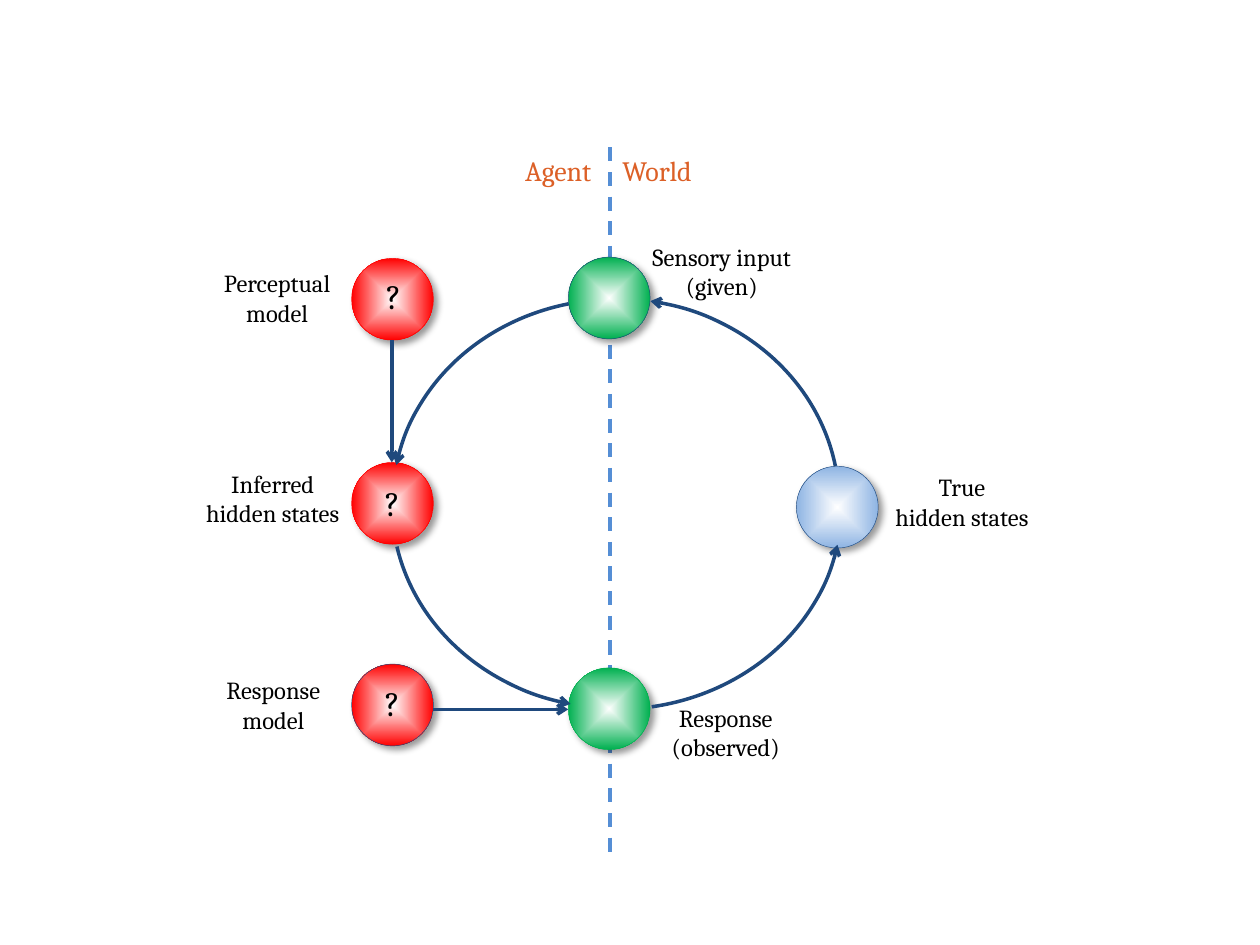
"""Draw the perception and response loop between an agent and its world."""
from typing import NamedTuple

from lxml import etree
from pptx import Presentation
from pptx import util as u
from pptx.dml.color import RGBColor
from pptx.enum import dml, shapes, text
from pptx.oxml import parse_xml
from pptx.oxml.ns import nsdecls, qn

COLOURS = {
    "white": "FFFFFF", "black": "000000", "red": "FF0000", "green": "00B050",
    "sky": "8EB4E3", "navy": "1F497D", "divider": "558ED5", "orange": "DC6027",
}
FONT = "Cambria"
DIAMETER = 0.65
LEFT, CENTER = text.PP_ALIGN.LEFT, text.PP_ALIGN.CENTER


class Node(NamedTuple):
    left: float
    top: float
    fill: str
    outline: str


class Label(NamedTuple):
    left: float
    top: float
    width: float
    height: float
    lines: tuple[str, ...]
    size: int = 14
    colour: str = "black"
    first_align: text.PP_ALIGN = CENTER
    wrap: bool = False


class Arc(NamedTuple):
    left: float
    top: float
    width: float
    height: float
    rotation: int
    start: float
    end: float


class Link(NamedTuple):
    x1: float
    y1: float
    x2: float
    y2: float


DIVIDER = Link(4.84, 1.17, 4.84, 6.83)
NODES = (
    Node(2.79, 3.67, "red", "red"),
    Node(6.32, 3.7, "sky", "navy"),
    Node(4.51, 2.04, "green", "navy"),
    Node(4.51, 5.3, "green", "green"),
    Node(2.79, 2.05, "red", "red"),
    Node(2.79, 5.27, "red", "navy"),
)
ARCS = (
    Arc(3.11, 2.37, 3.55, 3.25, 0, 167.88, 210.22),
    Arc(3.27, 2.22, 3.23, 3.54, 270, 167.88, 208.07),
    Arc(3.11, 2.37, 3.55, 3.25, 180, 169.59, 209.3),
    Arc(3.28, 2.23, 3.23, 3.57, 90, 168.01, 210.08),
)
LINKS = (Link(3.44, 5.63, 4.51, 5.63), Link(3.11, 2.7, 3.11, 3.67))
LABELS = (
    Label(4.07, 1.17, 0.76, 0.37, ("Agent",), 16, "orange", LEFT),
    Label(4.84, 1.17, 0.79, 0.37, ("World",), 16, "orange", LEFT),
    Label(5.08, 1.87, 1.37, 0.57, ("Sensory input", "(given)"), first_align=LEFT),
    Label(6.97, 3.7, 1.33, 0.57, ("True", "hidden states")),
    Label(5.2, 5.53, 1.12, 0.57, ("Response", "(observed)")),
    Label(1.65, 2.08, 1.1, 0.57, ("Perceptual", "model")),
    Label(1.5, 3.67, 1.33, 0.57, ("Inferred", "hidden states")),
    Label(1.67, 5.31, 1, 0.57, ("Response", "model")),
    Label(2.66, 2.13, 0.93, 0.44, ("?",), 20, wrap=True),
    Label(2.65, 3.77, 0.93, 0.44, ("?",), 20, wrap=True),
    Label(2.65, 5.36, 0.93, 0.44, ("?",), 20, wrap=True),
)


def rgb(name: str) -> RGBColor:
    """Look up a named colour."""
    return RGBColor.from_string(COLOURS[name])


def set_line(line, colour: str, width: float) -> None:
    """Give a line its colour and width in points."""
    line.color.rgb = rgb(colour)
    line.width = u.Pt(width)


def add_arrowhead(line, end: str) -> None:
    """Put an open arrowhead on the headEnd or tailEnd of a line."""
    etree.SubElement(line._get_or_add_ln(), qn(f"a:{end}")).set("type", "arrow")


def add_node(slide, node: Node) -> None:
    """Draw a shaded ball with a soft shadow."""
    ball = slide.shapes.add_shape(
        shapes.MSO_SHAPE.OVAL, u.Inches(node.left), u.Inches(node.top),
        u.Inches(DIAMETER), u.Inches(DIAMETER))
    ball.fill.gradient()
    for stop, colour, position in zip(ball.fill.gradient_stops, ("white", node.fill), (0, 1)):
        stop.color.rgb = rgb(colour)
        stop.position = position
    properties = ball._element.spPr
    direction = properties.find(".//" + qn("a:lin"))
    direction.getparent().replace(direction, parse_xml(
        f'<a:path {nsdecls("a")} path="shape">'
        '<a:fillToRect l="50000" t="50000" r="50000" b="50000"/></a:path>'))
    set_line(ball.line, node.outline, 0.25)
    ball.shadow.inherit = False
    properties.find(qn("a:effectLst")).append(parse_xml(
        f'<a:outerShdw {nsdecls("a")} blurRad="{u.Pt(4)}" dist="{u.Pt(3)}" '
        'dir="2700000" algn="tl" rotWithShape="0">'
        f'<a:srgbClr val="{COLOURS["black"]}"><a:alpha val="40000"/></a:srgbClr>'
        '</a:outerShdw>'))


def add_arc(slide, arc: Arc) -> None:
    """Draw a quarter of the loop with an arrowhead at its start."""
    curve = slide.shapes.add_shape(
        shapes.MSO_SHAPE.ARC, u.Inches(arc.left), u.Inches(arc.top),
        u.Inches(arc.width), u.Inches(arc.height))
    curve.adjustments[0] = arc.start
    curve.adjustments[1] = arc.end
    curve.rotation = arc.rotation
    curve.fill.background()
    curve.shadow.inherit = False
    set_line(curve.line, "navy", 2)
    add_arrowhead(curve.line, "headEnd")


def add_link(slide, link: Link, colour: str):
    """Draw a straight line without shadow and return it."""
    connector = slide.shapes.add_connector(
        shapes.MSO_CONNECTOR.STRAIGHT, *(u.Inches(value) for value in link))
    set_line(connector.line, colour, 2)
    etree.SubElement(connector._element.spPr, qn("a:effectLst"))
    return connector


def add_label(slide, label: Label) -> None:
    """Write a label with one paragraph for each line."""
    box = slide.shapes.add_textbox(
        u.Inches(label.left), u.Inches(label.top),
        u.Inches(label.width), u.Inches(label.height))
    frame = box.text_frame
    frame.word_wrap = label.wrap
    frame.auto_size = text.MSO_AUTO_SIZE.SHAPE_TO_FIT_TEXT
    for index, line in enumerate(label.lines):
        paragraph = frame.add_paragraph() if index else frame.paragraphs[0]
        paragraph.alignment = CENTER if index else label.first_align
        run = paragraph.add_run()
        run.text = line
        run.font.name = FONT
        run.font.size = u.Pt(label.size)
        run.font.color.rgb = rgb(label.colour)


def main() -> None:
    """Build and save the slide."""
    deck = Presentation()
    deck.slide_width, deck.slide_height = u.Inches(10), u.Inches(7.5)
    slide = deck.slides.add_slide(deck.slide_layouts[6])
    divider = add_link(slide, DIVIDER, "divider")
    divider.line.dash_style = dml.MSO_LINE.DASH
    for node in NODES:
        add_node(slide, node)
    for arc in ARCS:
        add_arc(slide, arc)
    for link in LINKS:
        add_arrowhead(add_link(slide, link, "navy").line, "tailEnd")
    for label in LABELS:
        add_label(slide, label)
    deck.save("out.pptx")


if __name__ == "__main__":
    main()
